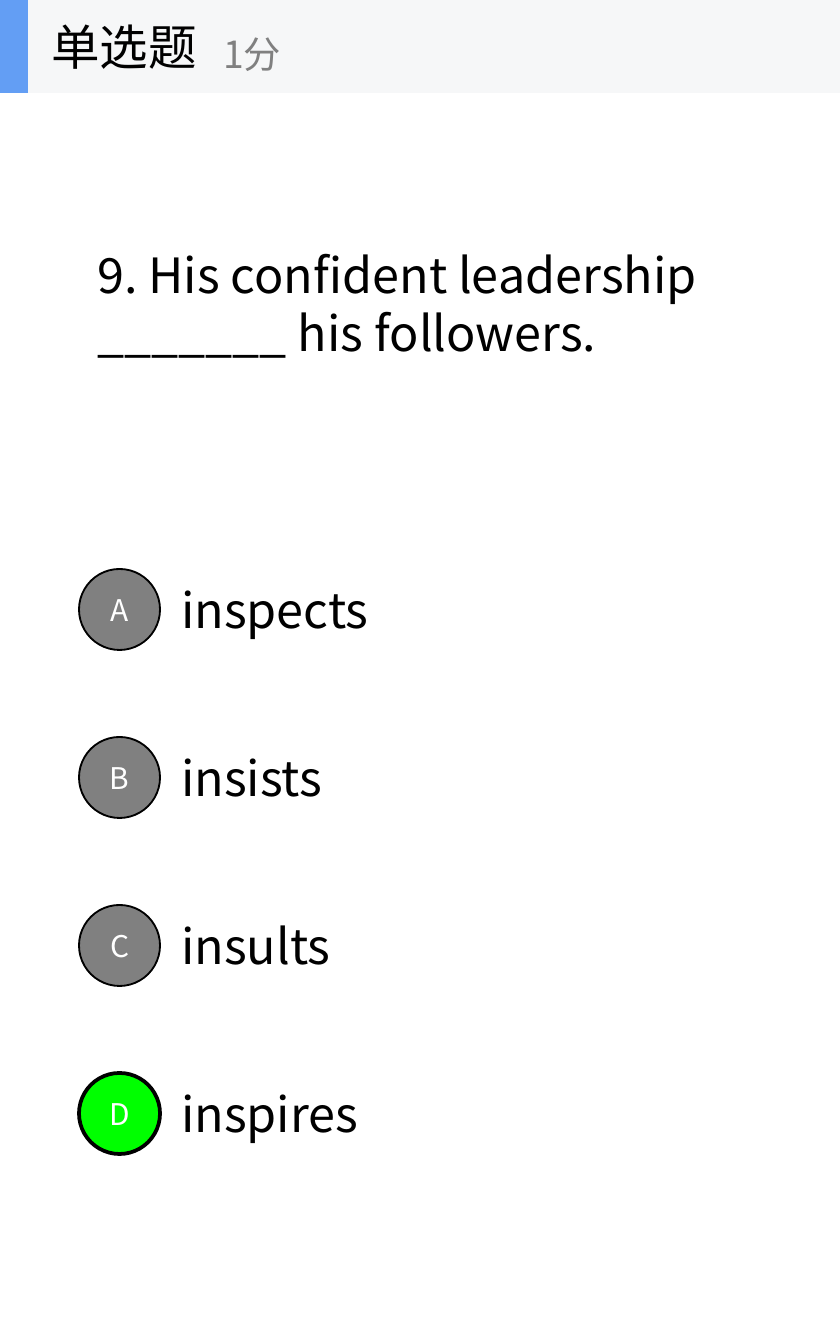
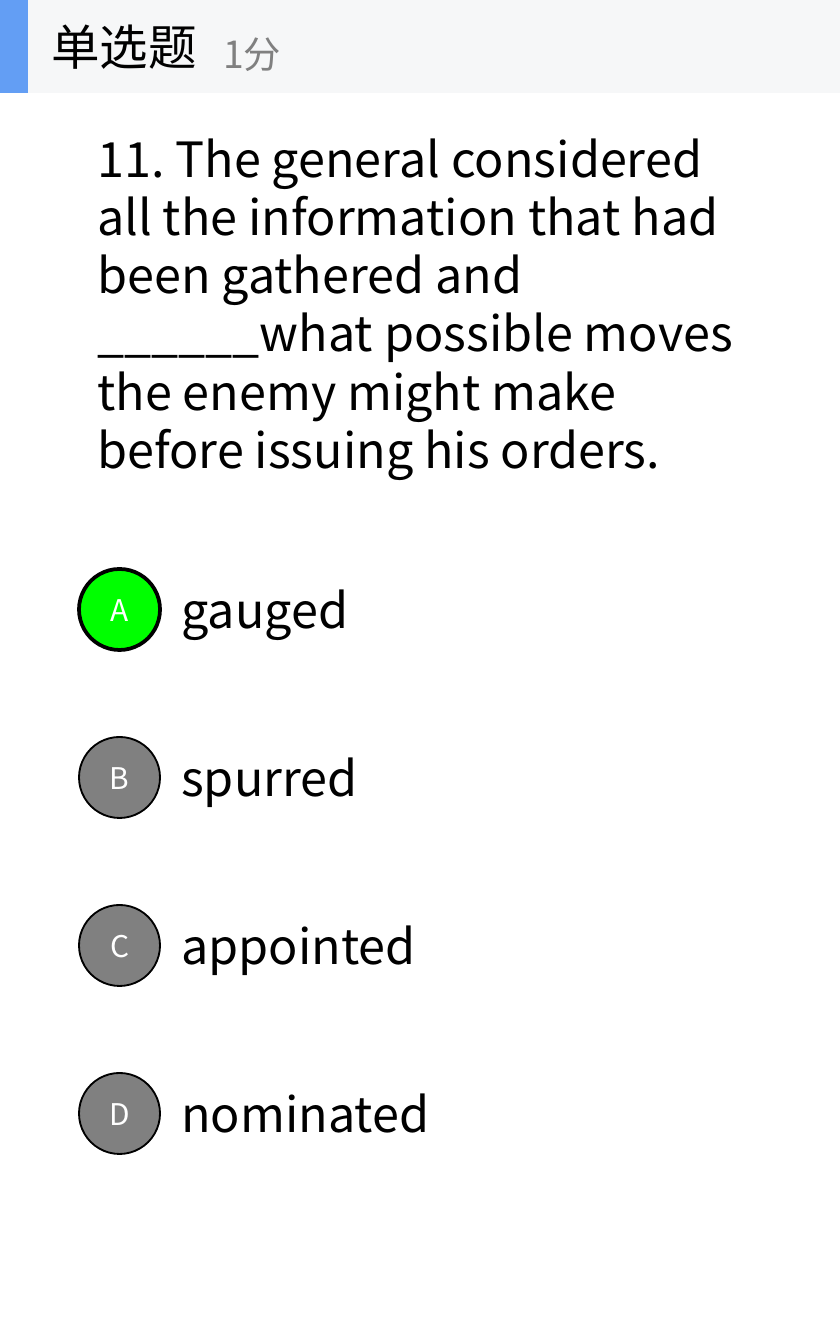
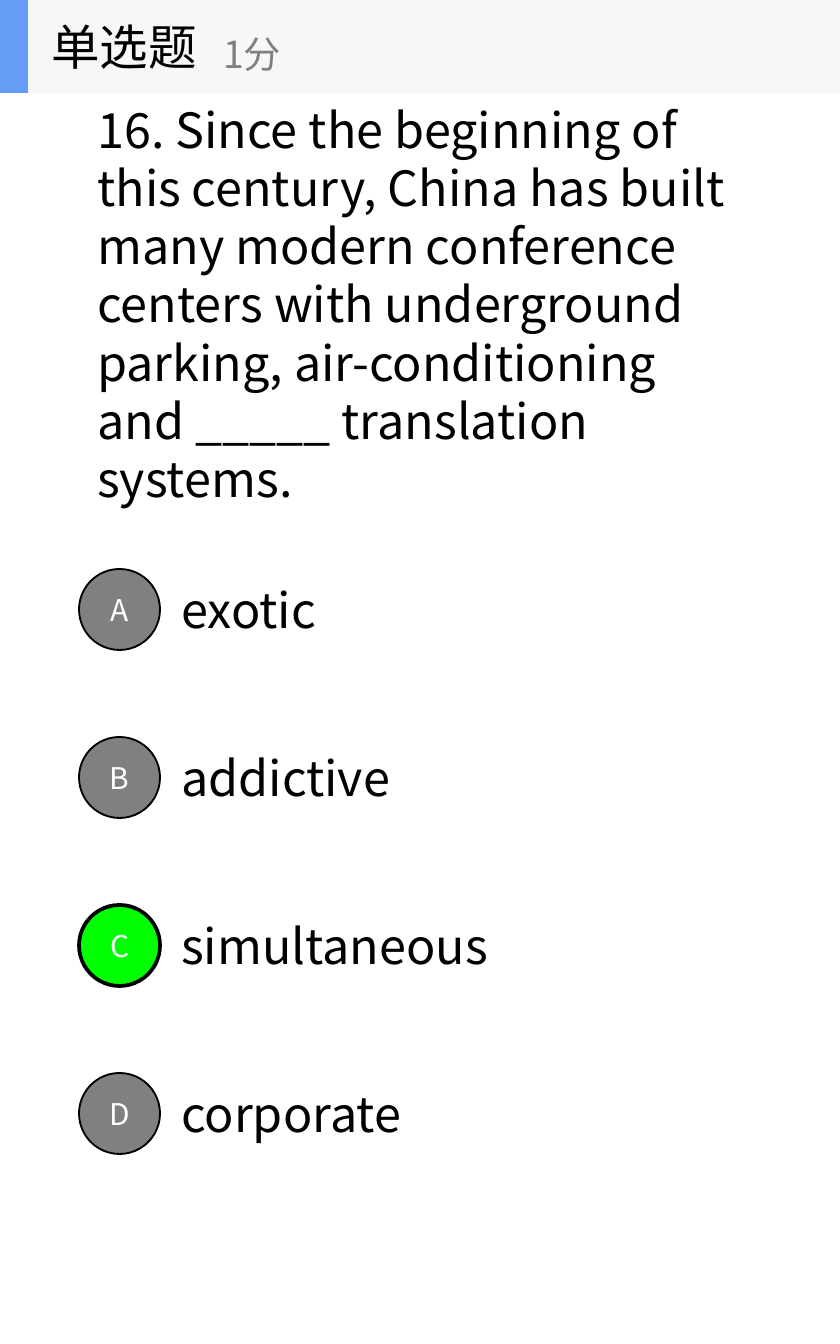
from lxml.etree import SubElement
from pptx import Presentation
from pptx.dml.color import RGBColor
from pptx.enum.shapes import MSO_SHAPE as Preset
from pptx.enum.text import MSO_ANCHOR as Anchor, MSO_AUTO_SIZE as AutoSize, PP_ALIGN as Align
from pptx.oxml.ns import qn
from pptx.util import Pt

PX = 914400 / 134.4
FONT = "Noto Sans CJK SC"
COLORS = {
    "text": "000000",
    "muted": "808080",
    "correct": "00FF00",
    "letter": "FFFFFF",
    "band": "F6F7F8",
    "accent": "639EF4",
}
BAND_HEIGHT = 93
FIRST_OPTION_TOP = 569
OPTION_STEP = 168
CIRCLE_SIZE = 81

QUESTIONS = [
    {
        "text": "9. His confident leadership _______ his followers.",
        "top": 238, "height": 130, "answer": "D",
        "options": [("inspects", 551), ("insists", 468), ("insults", 237), ("inspires", 305)],
    },
    {
        "text": "11. The general considered all the information that had been gathered and "
                "______what possible moves the enemy might make before issuing his orders.",
        "top": 120, "height": 367, "answer": "A",
        "options": [("gauged", 219), ("spurred", 219), ("appointed", 280), ("nominated", 293)],
    },
    {
        "text": "16. Since the beginning of this century, China has built many modern conference "
                "centers with underground parking, air-conditioning and _____ translation systems.",
        "top": 91, "height": 425, "answer": "C",
        "options": [("exotic", 179), ("addictive", 267), ("simultaneous", 349), ("corporate", 267)],
    },
]


def write_text(shape, text, size, color, wrap=True):
    frame = shape.text_frame
    frame.text = text
    frame.word_wrap = wrap
    frame.vertical_anchor = Anchor.MIDDLE
    font = frame.paragraphs[0].runs[0].font
    font.size = Pt(size)
    font.name = FONT
    font.color.rgb = RGBColor.from_string(COLORS[color])
    SubElement(font._element, qn("a:ea")).set("typeface", FONT)
    return frame


def add_filled(shapes, preset, box, color):
    shape = shapes.add_shape(preset, *(round(length * PX) for length in box))
    shape.shadow.inherit = False
    shape.fill.solid()
    shape.fill.fore_color.rgb = RGBColor.from_string(COLORS[color])
    shape.line.fill.background()
    return shape


presentation = Presentation()
presentation.slide_width = round(840 * PX)
presentation.slide_height = round(1344 * PX)

for question in QUESTIONS:
    slide = presentation.slides.add_slide(presentation.slide_layouts[6])

    box = (84, question["top"], 671, question["height"])
    prompt = slide.shapes.add_textbox(*(round(length * PX) for length in box))
    write_text(prompt, question["text"], 26, "text").auto_size = AutoSize.SHAPE_TO_FIT_TEXT

    for index, (letter, (word, width)) in enumerate(zip("ABCD", question["options"])):
        top = FIRST_OPTION_TOP + index * OPTION_STEP
        box = (168, top + 4, width, 72)
        option = slide.shapes.add_textbox(*(round(length * PX) for length in box))
        write_text(option, word, 26, "text").auto_size = AutoSize.SHAPE_TO_FIT_TEXT

        correct = letter == question["answer"]
        box = (79, top, CIRCLE_SIZE, CIRCLE_SIZE)
        circle = add_filled(slide.shapes, Preset.OVAL, box, "correct" if correct else "muted")
        circle.line.color.rgb = RGBColor.from_string(COLORS["text"])
        circle.line.width = Pt(2 if correct else 1)
        write_text(circle, letter, 16, "letter").paragraphs[0].alignment = Align.CENTER

    header = slide.shapes.add_group_shape()
    add_filled(header.shapes, Preset.RECTANGLE, (0, 0, 840, BAND_HEIGHT), "band")
    add_filled(header.shapes, Preset.RECTANGLE, (0, 0, 28, BAND_HEIGHT), "accent")
    for text, box, size, color in [
        ("单选题", (38, 0, 280, BAND_HEIGHT), 26, "text"),
        ("1分", (210, 16, 336, 75), 20, "muted"),
    ]:
        label = header.shapes.add_textbox(*(round(length * PX) for length in box))
        write_text(label, text, size, color, wrap=False)

presentation.save("out.pptx")
